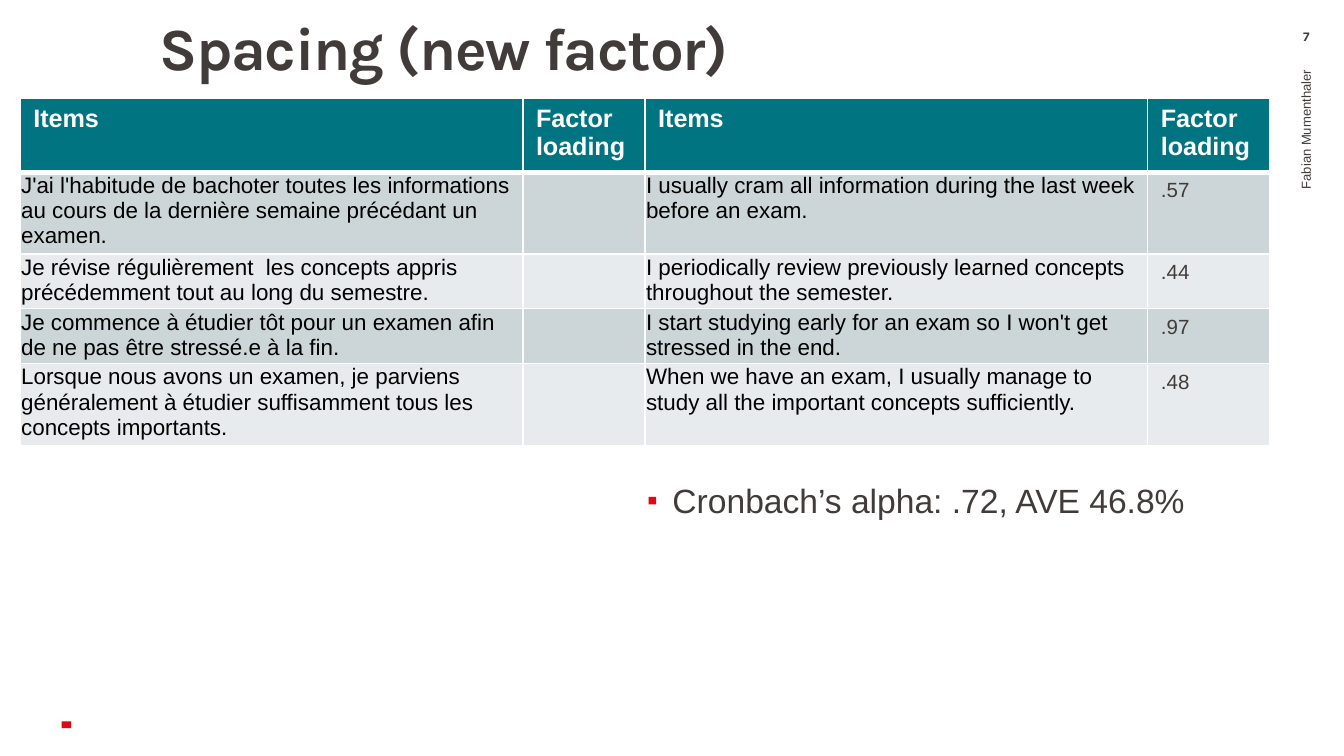
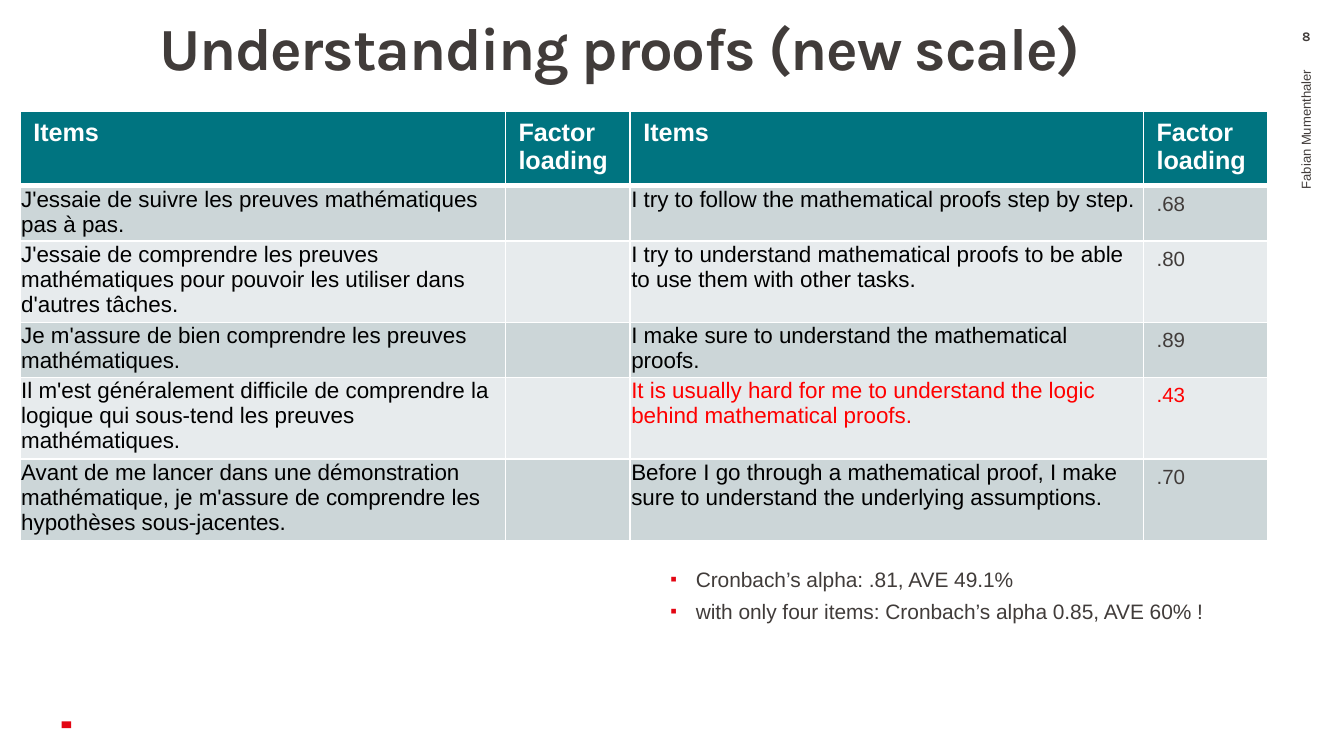
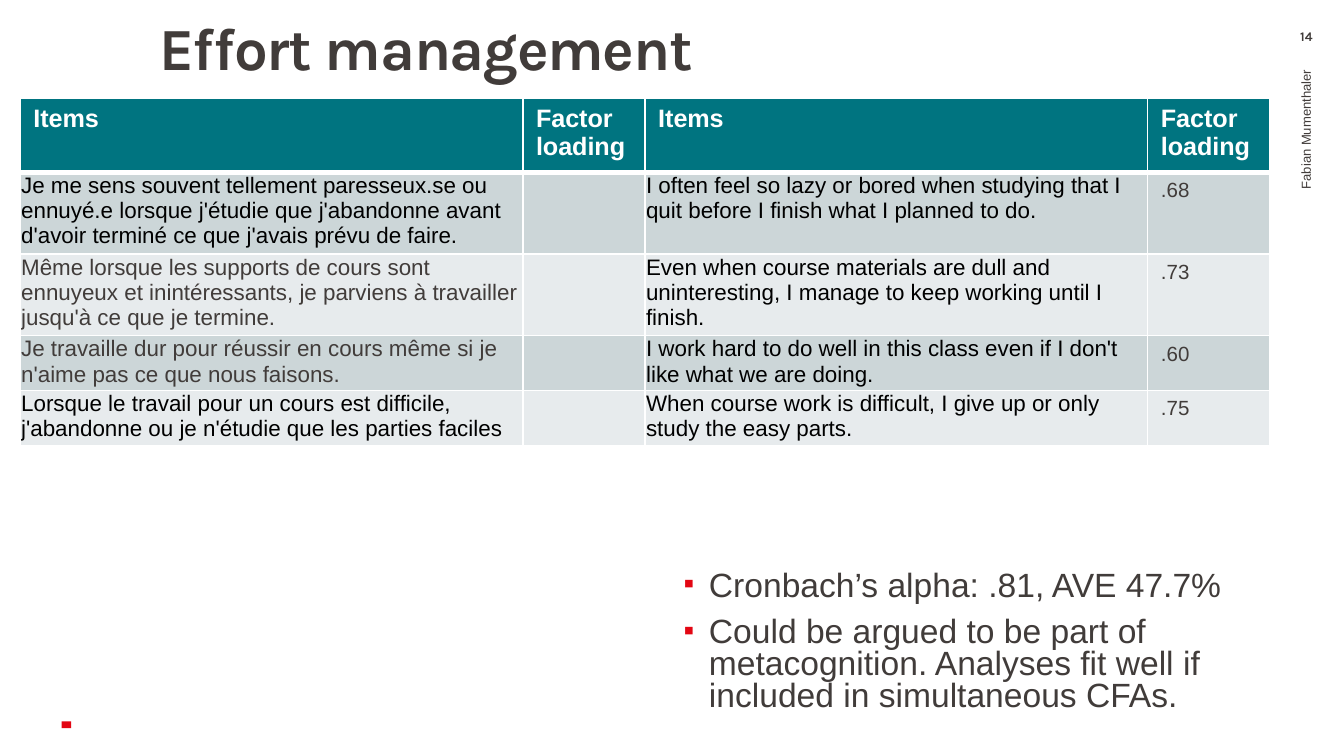
"""Build three slides that report the factor loadings of questionnaire scales."""
from dataclasses import dataclass

import lxml.etree
import pptx
import pptx.dml.color
import pptx.enum.shapes
import pptx.enum.text
import pptx.oxml.ns
import pptx.util

Cm = pptx.util.Cm
Pt = pptx.util.Pt
qn = pptx.oxml.ns.qn
ALIGN = pptx.enum.text.PP_ALIGN
ANCHOR = pptx.enum.text.MSO_ANCHOR


@dataclass(frozen=True)
class Theme:
    """Colours, fonts and type sizes shared by all slides."""
    ink: str = "413C3A"
    black: str = "000000"
    white: str = "FFFFFF"
    accent: str = "E30613"
    warning: str = "FF0000"
    header: str = "007480"
    bands: tuple = ("CCD6D8", "E7EBED")
    title_font: str = "Karla"
    text_font: str = "Arial"
    title_size: float = 32
    bullet_size: float = 18
    compact_size: float = 11.2
    header_size: float = 13.5
    item_size: float = 12
    loading_size: float = 11
    small_size: float = 7


THEME = Theme()
AUTHOR = "Fabian Mumenthaler "
HEADINGS = ("Items", "Factor loading") * 2
HEADER_HEIGHT = 1.33
LINE_HEIGHT = 0.48
ITEM_INSETS = (0.02, 0.02, 0.02, 0)
CELL_INSETS = (0.25, 0.13, 0.25, 0.13)
WIDE_COLUMNS = (9.5, 2.31, 9.5, 2.31)
PROOF_COLUMNS = (9.17, 2.36, 9.7, 2.36)


@dataclass(frozen=True)
class Item:
    """One questionnaire item in both languages, with its loading."""
    french: str
    english: str
    loading: str
    lines: int
    french_color: str = THEME.black
    english_color: str = THEME.black
    loading_color: str = THEME.ink


@dataclass(frozen=True)
class Scale:
    """The content of one slide."""
    number: str
    title: str
    table_top: float
    columns: tuple
    items: tuple
    findings: tuple
    place: tuple
    spacing: float
    size: float = THEME.bullet_size


SCALES = (
    Scale("7", "Spacing (new factor)", 1.85, WIDE_COLUMNS, (
        Item("J'ai l'habitude de bachoter toutes les informations au cours de la "
             "dernière semaine précédant un examen.",
             "I usually cram all information during the last week before an exam.",
             ".57", 3),
        Item("Je révise régulièrement\u00a0 les concepts appris précédemment tout "
             "au long du semestre.",
             "I periodically review previously learned concepts throughout the "
             "semester.", ".44", 2),
        Item("Je commence à étudier tôt pour un examen afin de ne pas être "
             "stressé.e à la fin.",
             "I start studying early for an exam so I won't get stressed in the end.",
             ".97", 2),
        Item("Lorsque nous avons un examen, je parviens généralement à étudier "
             "suffisamment tous les concepts importants.",
             "When we have an exam, I usually manage to study all the important "
             "concepts sufficiently.", ".48", 3),
    ), ("Cronbach’s alpha: .72, AVE 46.8%",), (11.73, 9.02, 12.24, 1.27), 0.9),
    Scale("8", "Understanding proofs (new scale)", 2.11, PROOF_COLUMNS, (
        Item("J'essaie de suivre les preuves mathématiques pas à pas.",
             "I try to follow the mathematical proofs step by step.", ".68", 2),
        Item("J'essaie de comprendre les preuves mathématiques pour pouvoir les "
             "utiliser dans d'autres tâches.",
             "I try to understand mathematical proofs to be able to use them with "
             "other tasks.", ".80", 3),
        Item("Je m'assure de bien comprendre les preuves mathématiques.",
             "I make sure to understand the mathematical proofs.", ".89", 2),
        Item("Il m'est généralement difficile de comprendre la logique qui "
             "sous-tend les preuves mathématiques.",
             "It is usually hard for me to understand the logic behind "
             "mathematical proofs.", ".43", 3,
             english_color=THEME.warning, loading_color=THEME.warning),
        Item("Avant de me lancer dans une démonstration mathématique, je m'assure "
             "de comprendre les hypothèses sous-jacentes.",
             "Before I go through a mathematical proof, I make sure to understand "
             "the underlying assumptions.", ".70", 3),
    ), ("Cronbach’s alpha: .81, AVE 49.1%",
        "with only four items: Cronbach’s alpha 0.85, AVE 60% !"),
        (12.17, 10.72, 12.17, 1.27), 0.7, THEME.compact_size),
    Scale("14", "Effort management", 1.85, WIDE_COLUMNS, (
        Item("Je me sens souvent tellement paresseux.se ou ennuyé.e lorsque "
             "j'étudie que j'abandonne avant d'avoir terminé ce que j'avais prévu "
             "de faire.",
             "I often feel so lazy or bored when studying that I quit before I "
             "finish what I planned to do.", ".68", 3),
        Item("Même lorsque les supports de cours sont ennuyeux et inintéressants, "
             "je parviens à travailler jusqu'à ce que je termine.",
             "Even when course materials are dull and uninteresting, I manage to "
             "keep working until I finish.", ".73", 3, french_color=THEME.ink),
        Item("Je travaille dur pour réussir en cours même si je n'aime pas ce que "
             "nous faisons.",
             "I work hard to do well in this class even if I don't like what we "
             "are doing.", ".60", 2, french_color=THEME.ink),
        Item("Lorsque le travail pour un cours est difficile, j'abandonne ou je "
             "n'étudie que les parties faciles",
             "When course work is difficult, I give up or only study the easy "
             "parts.", ".75", 2),
    ), ("Cronbach’s alpha: .81, AVE 47.7%",
        "Could be argued to be part of metacognition. Analyses fit well if "
        "included in simultaneous CFAs. "),
        (12.42, 10.67, 11.76, 3.25), 0.8),
)


def rgb(color):
    """Turn a hex string into a colour value."""
    return pptx.dml.color.RGBColor.from_string(color)


def apply(target, values):
    """Set every attribute named in a dict."""
    for name, value in values.items():
        setattr(target, name, value)


def set_insets(target, insets):
    """Set the left, top, right and bottom margins of a frame or cell."""
    sides = ("margin_left", "margin_top", "margin_right", "margin_bottom")
    apply(target, dict(zip(sides, map(Cm, insets))))


def add_span(para, text, size, color, font=THEME.text_font, bold=False):
    """Add formatted text to a paragraph."""
    span = para.add_run()
    span.text = text
    apply(span.font, {"name": font, "size": Pt(size), "bold": bold})
    span.font.color.rgb = rgb(color)
    return span


def add_box(page, place, insets=CELL_INSETS, anchor=ANCHOR.TOP, rotation=0):
    """Add a wrapping text box and return its text frame."""
    box = page.shapes.add_textbox(*map(Cm, place))
    box.rotation = rotation
    apply(box.text_frame, {"word_wrap": True, "vertical_anchor": anchor})
    set_insets(box.text_frame, insets)
    return box.text_frame


def add_marker(page):
    """Add the small accent mark at the bottom left."""
    mark = page.shapes.add_shape(pptx.enum.shapes.MSO_SHAPE.RECTANGLE,
                                 Cm(1.19), Cm(13.61), Cm(0.13), Cm(0.18))
    mark.rotation = 270
    mark.shadow.inherit = False
    mark.fill.solid()
    mark.fill.fore_color.rgb = rgb(THEME.accent)
    mark.line.fill.background()


def add_title(page, text):
    """Add the slide title."""
    frame = add_box(page, (2.51, 0.36, 19.74, 2.97), (0.5, 0, 0.2, 0.13))
    para = frame.paragraphs[0]
    para.line_spacing = 0.9
    span = add_span(para, text, THEME.title_size, THEME.ink, THEME.title_font, True)
    span.font._element.set("spc", "-70")


def add_margin_texts(page, number):
    """Add the upright author name and the page number."""
    frame = add_box(page, (19.76, 5.21, 9.83, 1.42), anchor=ANCHOR.MIDDLE,
                    rotation=270)
    frame.paragraphs[0].alignment = ALIGN.RIGHT
    add_span(frame.paragraphs[0], AUTHOR, THEME.small_size, THEME.ink)
    frame = add_box(page, (23.98, 0.53, 1.42, 0.46), (0.25, 0, 0.25, 0))
    frame.paragraphs[0].alignment = ALIGN.CENTER
    add_span(frame.paragraphs[0], number, THEME.small_size, THEME.ink,
             THEME.title_font, True)


def add_bullet(para):
    """Give a paragraph a hanging square bullet."""
    props = para._p.get_or_add_pPr()
    props.set("marL", str(Cm(0.48)))
    props.set("indent", str(-Cm(0.48)))
    color = lxml.etree.SubElement(props, qn("a:buClr"))
    lxml.etree.SubElement(color, qn("a:srgbClr"), val=THEME.accent)
    lxml.etree.SubElement(props, qn("a:buSzPct"), val="90000")
    lxml.etree.SubElement(props, qn("a:buFont"), typeface=THEME.text_font)
    lxml.etree.SubElement(props, qn("a:buChar"), char="▪")


def add_findings(page, scale):
    """Add the bulleted reliability figures."""
    frame = add_box(page, scale.place, (0.5, 0.13, 0.25, 0.13))
    for index, text in enumerate(scale.findings):
        para = frame.add_paragraph() if index else frame.paragraphs[0]
        apply(para, {"line_spacing": scale.spacing, "space_before": Pt(7.5)})
        add_bullet(para)
        add_span(para, text, scale.size, THEME.ink)


def set_borders(cell, top, bottom):
    """Draw white cell borders; the sides are one point wide."""
    props = cell._tc.get_or_add_tcPr()
    for tag, width in (("lnL", 1), ("lnR", 1), ("lnT", top), ("lnB", bottom)):
        line = lxml.etree.SubElement(props, qn("a:" + tag), w=str(Pt(width)))
        fill = lxml.etree.SubElement(line, qn("a:solidFill"))
        lxml.etree.SubElement(fill, qn("a:srgbClr"), val=THEME.white)


def fill_cell(cell, text, size, color, fill, insets=CELL_INSETS, bold=False,
              top=1, bottom=1):
    """Write and format one table cell."""
    set_borders(cell, top, bottom)
    cell.fill.solid()
    cell.fill.fore_color.rgb = rgb(fill)
    set_insets(cell, insets)
    para = cell.text_frame.paragraphs[0]
    if text:
        add_span(para, text, size, color, bold=bold)
    else:
        lxml.etree.SubElement(para._p, qn("a:endParaRPr"), sz=str(size * 100))


def add_loadings(page, scale):
    """Add the table of items and factor loadings."""
    heights = [HEADER_HEIGHT] + [item.lines * LINE_HEIGHT for item in scale.items]
    table = page.shapes.add_table(
        len(heights), len(scale.columns), Cm(0.38), Cm(scale.table_top),
        Cm(sum(scale.columns)), Cm(sum(heights))).table
    for column, width in zip(table.columns, scale.columns):
        column.width = Cm(width)
    for row, height in zip(table.rows, heights):
        row.height = Cm(height)
    for column, text in enumerate(HEADINGS):
        fill_cell(table.cell(0, column), text, THEME.header_size, THEME.white,
                  THEME.header, bold=True, bottom=3)
    for row, item in enumerate(scale.items, 1):
        fill = THEME.bands[(row - 1) % 2]
        top = 3 if row == 1 else 1
        contents = (
            (item.french, THEME.item_size, item.french_color, fill, ITEM_INSETS),
            ("", THEME.loading_size, THEME.ink, fill),
            (item.english, THEME.item_size, item.english_color, fill, ITEM_INSETS),
            (item.loading, THEME.loading_size, item.loading_color, fill),
        )
        for column, content in enumerate(contents):
            fill_cell(table.cell(row, column), *content, top=top)


def main():
    """Build and save the deck."""
    deck = pptx.Presentation()
    apply(deck, {"slide_width": Cm(25.4), "slide_height": Cm(14.29)})
    for scale in SCALES:
        page = deck.slides.add_slide(deck.slide_layouts[6])
        add_marker(page)
        add_findings(page, scale)
        add_title(page, scale.title)
        add_margin_texts(page, scale.number)
        add_loadings(page, scale)
    deck.save("out.pptx")


main()
